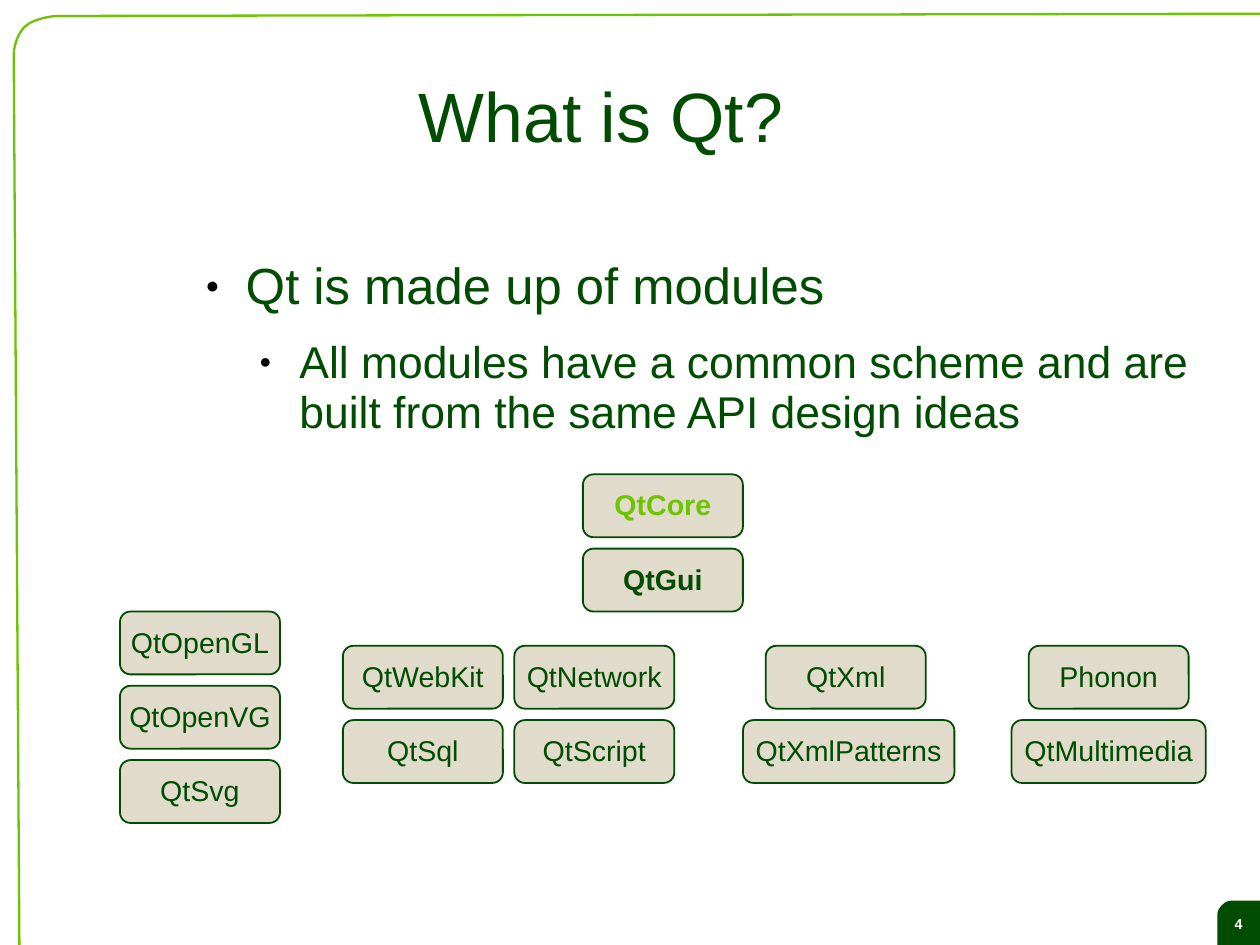
from lxml import etree
from pptx import Presentation
from pptx.dml.color import RGBColor
from pptx.enum.shapes import MSO_SHAPE
from pptx.enum.text import MSO_ANCHOR, MSO_AUTO_SIZE, PP_ALIGN
from pptx.oxml.ns import qn
from pptx.util import Inches, Pt

ROUND = MSO_SHAPE.ROUNDED_RECTANGLE
MIDDLE, TOP = MSO_ANCHOR.MIDDLE, MSO_ANCHOR.TOP
CENTER, LEFT = PP_ALIGN.CENTER, PP_ALIGN.LEFT
FIXED = MSO_AUTO_SIZE.NONE

WIDE, HIGH = 28 / 2.54, 21 / 2.54
COLORS = {"dark": "004C00", "lime": "6DC400", "sand": "E0DBCA",
          "white": "FFFFFF", "black": "000000"}
STACKS = [
    (5.1, 4.15, ["QtCore", "QtGui"]),
    (1.05, 5.35, ["QtOpenGL", "QtOpenVG", "QtSvg"]),
    (3, 5.65, ["QtWebKit", "QtSql"]),
    (4.5, 5.65, ["QtNetwork", "QtScript"]),
    (6.7, 5.65, ["QtXml", "QtXmlPatterns"]),
    (9, 5.65, ["Phonon", "QtMultimedia"]),
]
STEP = 0.65
SIZES = {"QtXmlPatterns": (-0.2, 1.85), "QtMultimedia": (-0.15, 1.7)}
BOLD = {"QtCore": "lime", "QtGui": "dark"}
POINTS = [
    ("Qt is made up of modules", 32, 0.47, 14.3),
    ("All modules have a common scheme and are built from the same API design ideas",
     28, 0.94, 11.4),
]


def curve(start, pull, push, end, steps=10):
    """Return the points of a cubic curve."""
    result = []
    for i in range(steps + 1):
        t = i / steps
        u = 1 - t
        result.append(tuple(
            u**3 * a + 3 * u * u * t * b + 3 * u * t * t * c + t**3 * d
            for a, b, c, d in zip(start, pull, push, end)))
    return result


class Deck:
    """Holds the style and the current slide."""

    def __init__(self, font):
        self.font = font
        self.prs = Presentation()
        self.prs.slide_width, self.prs.slide_height = Inches(WIDE), Inches(HIGH)
        self.slide = self.prs.slides.add_slide(self.prs.slide_layouts[1])

    def color(self, name):
        return RGBColor.from_string(COLORS[name])

    def style(self, par, size, color="dark", bold=False, align=CENTER):
        par.alignment = align
        par.line_spacing = 0.93
        par.space_before = Pt(0)
        for run in par.runs:
            run.font.name, run.font.size, run.font.bold = self.font, Pt(size), bold
            run.font.color.rgb = self.color(color)

    def frame(self, shape, anchor, insets, wrap=True):
        frame = shape.text_frame
        frame.auto_size, frame.word_wrap = FIXED, wrap
        frame.vertical_anchor = anchor
        (frame.margin_left, frame.margin_top,
         frame.margin_right, frame.margin_bottom) = map(Inches, insets)
        return frame

    def place(self, shape, left, top, width, height):
        shape.left, shape.top = Inches(left), Inches(top)
        shape.width, shape.height = Inches(width), Inches(height)

    def paint(self, shape, fill=None, line=None, weight=1):
        shape.shadow.inherit = False
        for part, name in ((shape.fill, fill), (shape.line.fill, line)):
            if name:
                part.solid()
                part.fore_color.rgb = self.color(name)
            else:
                part.background()
        if line:
            shape.line.width = Pt(weight)

    def outline(self, points, closed=False, **look):
        points = [(Inches(x), Inches(y)) for x, y in points]
        pen = self.slide.shapes.build_freeform(*points[0])
        pen.add_line_segments(points[1:], close=closed)
        shape = pen.convert_to_shape()
        self.paint(shape, **look)
        return shape

    def title(self, text):
        shape = self.slide.shapes.title
        self.place(shape, 1.68, 0.33, 7.16, 1.38)
        frame = self.frame(shape, MIDDLE, (0, 0.04, 0, 0))
        frame.text = text
        self.style(frame.paragraphs[0], 44)

    def bullet(self, par, indent):
        props = par._p.get_or_add_pPr()
        props.set("marL", str(Inches(indent)))
        props.set("indent", str(Inches(-0.35)))
        tint = etree.SubElement(props, qn("a:buClr"))
        etree.SubElement(tint, qn("a:srgbClr"), val=COLORS["black"])
        etree.SubElement(props, qn("a:buSzPct"), val="45000")
        etree.SubElement(props, qn("a:buFont"), typeface=self.font)
        etree.SubElement(props, qn("a:buChar"), char="●")

    def body(self, points):
        shape = self.slide.placeholders[1]
        self.place(shape, 1.68, 2.24, 8.79, 5.09)
        frame = self.frame(shape, TOP, (0, 0.03, 0, 0))
        for level, (text, size, indent, after) in enumerate(points):
            par = frame.add_paragraph() if level else frame.paragraphs[0]
            par.text, par.level = text, level
            self.bullet(par, indent)
            self.style(par, size, align=LEFT)
            par.space_after = Pt(after)

    def module(self, name, left, top):
        shift, width = SIZES.get(name, (0, 1.4))
        shape = self.slide.shapes.add_shape(
            ROUND, Inches(left + shift), Inches(top), Inches(width), Inches(0.55))
        shape.adjustments[0] = 0.167
        self.paint(shape, "sand", "dark", 1.13)
        frame = self.frame(shape, MIDDLE, (0.11, 0.07, 0.11, 0.06), wrap=False)
        frame.text = name
        self.style(frame.paragraphs[0], 18, BOLD.get(name, "dark"), name in BOLD)

    def badge(self, text):
        edge = (curve((10.79, 7.88), (10.76, 7.88), (10.73, 7.88), (10.69, 7.92))
                + curve((10.69, 7.92), (10.65, 7.96), (10.65, 8), (10.65, 8.01))[1:])
        shape = self.outline([(WIDE, 7.88), *edge, (10.65, HIGH), (WIDE, HIGH)],
                             closed=True, fill="dark")
        frame = self.frame(shape, MIDDLE, (0, 0.04, 0, 0))
        frame.text = text
        self.style(frame.paragraphs[0], 9, "white", True)

    def border(self):
        bend = (curve((0.5, 0.14), (0.49, 0.14), (0.3, 0.15), (0.21, 0.24))
                + curve((0.21, 0.24), (0.12, 0.34), (0.12, 0.48), (0.12, 0.48))[1:])
        self.outline([(WIDE, 0.12), *bend, (0.17, HIGH)], line="lime", weight=1.45)


def main():
    deck = Deck("Arial")
    deck.badge("4")
    deck.border()
    deck.title("What is Qt?")
    deck.body(POINTS)
    for left, top, names in STACKS:
        for row, name in enumerate(names):
            deck.module(name, left, top + row * STEP)
    deck.prs.save("out.pptx")


if __name__ == "__main__":
    main()
